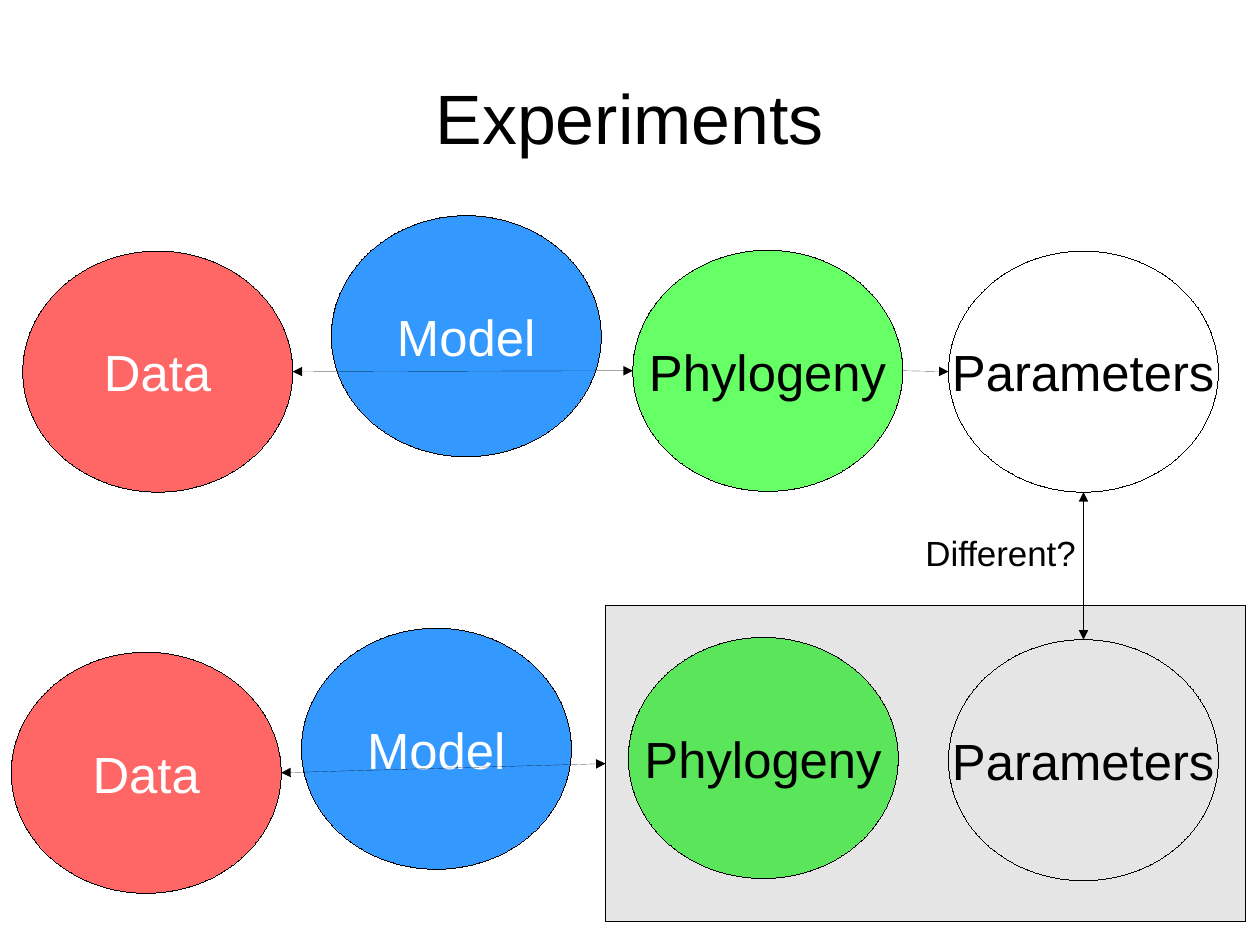
from lxml import etree
from pptx import Presentation
from pptx.dml.color import RGBColor
from pptx.enum.shapes import MSO_CONNECTOR, MSO_SHAPE
from pptx.enum.text import MSO_ANCHOR, PP_ALIGN
from pptx.oxml.ns import qn
from pptx.util import Cm, Pt

OVAL, RECTANGLE = MSO_SHAPE.OVAL, MSO_SHAPE.RECTANGLE
STRAIGHT = MSO_CONNECTOR.STRAIGHT
MIDDLE, TOP = MSO_ANCHOR.MIDDLE, MSO_ANCHOR.TOP
CENTER, LEFT = PP_ALIGN.CENTER, PP_ALIGN.LEFT

BLACK = RGBColor(0x00, 0x00, 0x00)
WHITE = RGBColor(0xFF, 0xFF, 0xFF)
RED = RGBColor(0xFF, 0x66, 0x66)
BLUE = RGBColor(0x33, 0x99, 0xFF)
GREEN = RGBColor(0x66, 0xFF, 0x66)

WIDTH, HEIGHT = Cm(28), Cm(21)
TOP_SIDE, LEFT_SIDE = 0, 1

# Boxes are left, top, width, height in percent of the slide.
TITLE_BOX = (4.99, 3.99, 90.02, 16.69)
PANEL_BOX = (48.06, 64.06, 50.82, 33.49)
QUESTION_BOX = (72.55, 55.62, 14.16, 5.32)
NODE_SIZE = (21.42, 25.51)

# Where each node sits from the corner of its row.
UPPER_CORNER = (1.81, 22.82)
UPPER_OFFSETS = {"Model": (24.49, 0), "Data": (0, 3.75),
                 "Phylogeny": (48.42, 3.66), "Parameters": (73.47, 3.75)}
LOWER_CORNER = (0.9, 66.48)
LOWER_OFFSETS = {"Model": (23.03, 0), "Data": (0, 2.54),
                 "Phylogeny": (48.97, 0.97), "Parameters": (74.38, 1.21)}
NODE_COLOURS = {"Model": (BLUE, WHITE), "Data": (RED, WHITE),
                "Phylogeny": (GREEN, BLACK), "Parameters": (WHITE, BLACK)}


def place(box):
    """Turn a box in percent into slide lengths."""
    left, top, width, height = box
    return (round(WIDTH * left / 100), round(HEIGHT * top / 100),
            round(WIDTH * width / 100), round(HEIGHT * height / 100))


def write(shape, text, size, colour, align=CENTER, anchor=MIDDLE, wrap=True):
    frame = shape.text_frame
    frame.word_wrap = wrap
    frame.vertical_anchor = anchor
    paragraph = frame.paragraphs[0]
    paragraph.alignment = align
    run = paragraph.add_run()
    run.text = text
    for name, value in {"name": "Arial", "size": Pt(size)}.items():
        setattr(run.font, name, value)
    run.font.color.rgb = colour


def draw_hairline(shape):
    """Give a black line of zero width, which line.width cannot write."""
    shape.line.color.rgb = BLACK
    line = shape.line._get_or_add_ln()
    line.set("w", "0")
    return line


def add_outlined(slide, kind, box, fill):
    shape = slide.shapes.add_shape(kind, *place(box))
    shape.shadow.inherit = False
    if fill is None:
        shape.fill.background()
    else:
        shape.fill.solid()
        shape.fill.fore_color.rgb = fill
    draw_hairline(shape)
    return shape


def add_row(slide, corner, offsets, hollow=()):
    """Draw the four named ovals of one experiment and return them by name."""
    nodes = {}
    for name, (across, down) in offsets.items():
        fill, text_colour = NODE_COLOURS[name]
        box = (corner[0] + across, corner[1] + down, *NODE_SIZE)
        nodes[name] = add_outlined(slide, OVAL, box, None if name in hollow else fill)
        write(nodes[name], name, 32, text_colour, wrap=False)
    return nodes


def add_panel(slide, box):
    """Draw the see-through grey panel over the lower results."""
    panel = add_outlined(slide, RECTANGLE, box, BLACK)
    colour = panel.fill._xPr.find(qn("a:solidFill"))[0]
    etree.SubElement(colour, qn("a:alpha"), val="10000")
    return panel


def left_of(shape):
    return shape.left, shape.top + shape.height // 2


def right_of(shape):
    return shape.left + shape.width, shape.top + shape.height // 2


def top_of(shape):
    return shape.left + shape.width // 2, shape.top


def bottom_of(shape):
    return shape.left + shape.width // 2, shape.top + shape.height


def add_arrow(slide, start, end, ends=("headEnd", "tailEnd")):
    arrow = slide.shapes.add_connector(STRAIGHT, *start, *end)
    line = draw_hairline(arrow)
    for tag in ends:
        etree.SubElement(line, qn(f"a:{tag}"), type="triangle")
    etree.SubElement(arrow._element.spPr, qn("a:effectLst"))
    return arrow


def add_title(slide, box):
    title = slide.shapes.add_textbox(*place(box))
    for side in ("left", "top", "right", "bottom"):
        setattr(title.text_frame, f"margin_{side}", 0)
    write(title, "Experiments", 44, BLACK)


def add_question(slide, box):
    question = slide.shapes.add_textbox(*place(box))
    write(question, "Different?", 22, BLACK, LEFT, TOP)


def main():
    deck = Presentation()
    deck.slide_width, deck.slide_height = WIDTH, HEIGHT
    slide = deck.slides.add_slide(deck.slide_layouts[6])

    add_title(slide, TITLE_BOX)
    upper = add_row(slide, UPPER_CORNER, UPPER_OFFSETS)
    lower = add_row(slide, LOWER_CORNER, LOWER_OFFSETS, hollow=("Parameters",))
    panel = add_panel(slide, PANEL_BOX)

    add_arrow(slide, right_of(upper["Phylogeny"]), left_of(upper["Parameters"]),
              ends=("tailEnd",))
    add_arrow(slide, right_of(upper["Data"]), left_of(upper["Phylogeny"]))
    to_panel = add_arrow(slide, right_of(lower["Data"]), left_of(panel))
    to_panel.end_connect(panel, LEFT_SIDE)
    comparison = add_arrow(slide, bottom_of(upper["Parameters"]),
                           top_of(lower["Parameters"]))
    comparison.end_connect(lower["Parameters"], TOP_SIDE)
    add_question(slide, QUESTION_BOX)

    deck.save("out.pptx")


if __name__ == "__main__":
    main()
